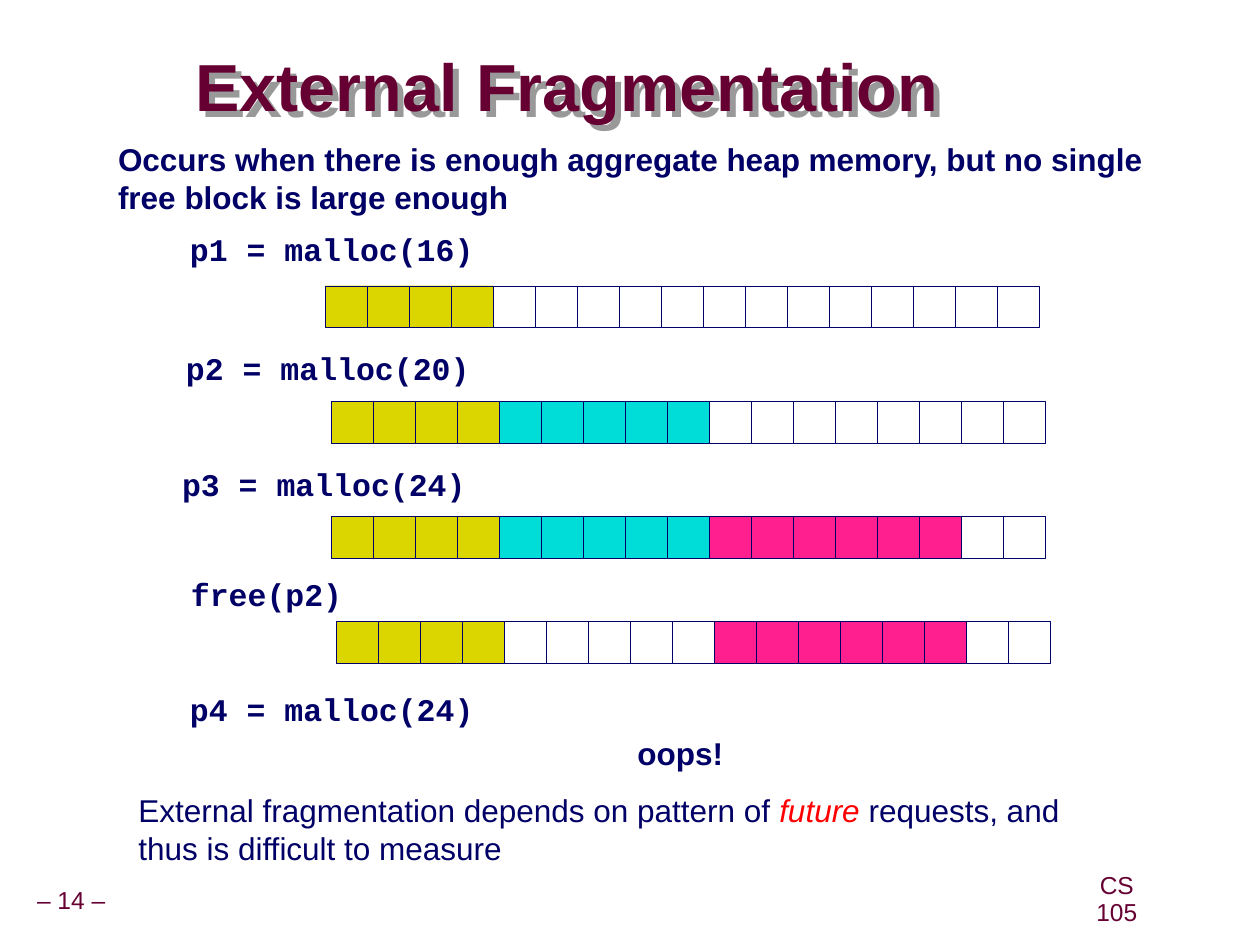
from typing import NamedTuple

from lxml import etree
from pptx import Presentation
from pptx import util as u
from pptx.dml.color import RGBColor
from pptx.enum import shapes, text
from pptx.oxml import ns

NAVY = RGBColor(0x00, 0x00, 0x66)
WINE = RGBColor(0x66, 0x00, 0x33)
GOLD = RGBColor(0xDB, 0xD6, 0x00)
CYAN = RGBColor(0x00, 0xDD, 0xD8)
PINK = RGBColor(0xFF, 0x1F, 0x8F)
WHITE = RGBColor(0xFF, 0xFF, 0xFF)
RED = RGBColor(0xFF, 0x00, 0x00)

SANS, MONO = "Arial", "Courier New"
CELL = 2.54 / 3  # cell side in cm
COUNT = 17       # cells in the heap


class Box(NamedTuple):
    """A place on the slide, in cm."""
    left: float
    top: float
    width: float
    height: float


class Block(NamedTuple):
    """Neighbouring heap cells of one colour."""
    size: int
    color: RGBColor


class Step(NamedTuple):
    """A heap call and the heap after it."""
    code: str
    label: Box
    left: float
    top: float
    blocks: list[Block]


class Span(NamedTuple):
    """Words that stand out in a line."""
    words: str
    color: RGBColor


P1, P2, P3 = Block(4, GOLD), Block(5, CYAN), Block(6, PINK)
GAP = Block(P2.size, WHITE)

STEPS = [
    Step("p1 = malloc(16)", Box(3.58, 4.5, 6.22, 1.02), 6.56, 5.76, [P1]),
    Step("p2 = malloc(20)", Box(3.5, 6.91, 6.22, 1.02), 6.68, 8.09, [P1, P2]),
    Step("p3 = malloc(24)", Box(3.42, 9.25, 6.22, 1.02), 6.68, 10.41,
         [P1, P2, P3]),
    Step("free(p2)", Box(3.6, 11.47, 3.56, 1.02), 6.78, 12.52, [P1, GAP, P3]),
]


def write(slide, box: Box, *lines, font=SANS, size=18, color=NAVY, bold=False,
          pad=(0.25, 0.13), align=text.PP_ALIGN.LEFT,
          anchor=text.MSO_ANCHOR.TOP, space=1.0):
    """Add a text box; a line is a string or a list of strings and spans."""
    shape = slide.shapes.add_textbox(*map(u.Cm, box))
    frame = shape.text_frame
    frame.word_wrap = False
    frame.vertical_anchor = anchor
    frame.margin_left = frame.margin_right = u.Cm(pad[0])
    frame.margin_top = frame.margin_bottom = u.Cm(pad[1])
    for i, line in enumerate(lines):
        para = frame.add_paragraph() if i else frame.paragraphs[0]
        para.alignment = align
        para.line_spacing = space
        for part in [line] if isinstance(line, str) else line:
            accent = isinstance(part, Span)
            run = para.add_run()
            run.text = part.words if accent else part
            run.font.name = font
            run.font.size = u.Pt(size)
            run.font.bold = bold
            run.font.italic = accent
            run.font.color.rgb = part.color if accent else color
    return shape


def shade(shape) -> None:
    """Cast a grey shadow to the lower right of the text."""
    props = shape._element.spPr
    effects = etree.SubElement(props, ns.qn("a:effectLst"))
    outer = etree.SubElement(effects, ns.qn("a:outerShdw"),
                             dist=str(u.Cm(0.17)), dir="2700000", algn="ctr")
    etree.SubElement(outer, ns.qn("a:srgbClr"), val="999999")


def draw(slide, step: Step) -> None:
    """Draw the row of heap cells and the call that led to it."""
    colors = [b.color for b in step.blocks for _ in range(b.size)]
    colors += [WHITE] * (COUNT - len(colors))
    for i, color in enumerate(colors):
        cell = slide.shapes.add_shape(
            shapes.MSO_SHAPE.RECTANGLE, u.Cm(step.left + i * CELL),
            u.Cm(step.top), u.Cm(CELL), u.Cm(CELL))
        cell.shadow.inherit = False
        cell.fill.solid()
        cell.fill.fore_color.rgb = color
        cell.line.color.rgb = NAVY
        cell.line.width = u.Pt(0.25)
    write(slide, step.label, step.code, font=MONO, bold=True)


def main() -> None:
    deck = Presentation()
    deck.slide_width, deck.slide_height = u.Cm(25.4), u.Cm(19.05)
    slide = deck.slides.add_slide(deck.slide_layouts[6])

    # Footer
    foot = dict(size=14, color=WINE, pad=(0.13, 0.13), space=0.9,
                align=text.PP_ALIGN.CENTER, anchor=text.MSO_ANCHOR.MIDDLE)
    write(slide, Box(0.5, 17.78, 1.87, 0.79), "– 14 –", **foot)
    write(slide, Box(21.56, 17.75, 1.91, 0.79), "CS 105", **foot)

    # Title
    title = write(slide, Box(3.94, 0.97, 15.06, 1.7), "External Fragmentation",
                  size=38, color=WINE, bold=True, pad=(0, 0), space=0.87,
                  anchor=text.MSO_ANCHOR.MIDDLE)
    shade(title)

    # Definition
    write(slide, Box(2.13, 2.69, 21.21, 1.78),
          "Occurs when there is enough aggregate heap memory, but no single",
          "free block is large enough", bold=True)

    # Heap after each call
    for step in STEPS:
        draw(slide, step)

    # Failing call
    write(slide, Box(3.58, 13.79, 6.22, 1.02), "p4 = malloc(24)",
          font=MONO, bold=True)
    write(slide, Box(12.6, 14.66, 2.24, 1.02), "oops!", bold=True)

    # Conclusion
    write(slide, Box(2.54, 15.82, 19.08, 1.78),
          ["External fragmentation depends on pattern of ",
           Span("future", RED), " requests, and"],
          "thus is difficult to measure")

    deck.save("out.pptx")


if __name__ == "__main__":
    main()
